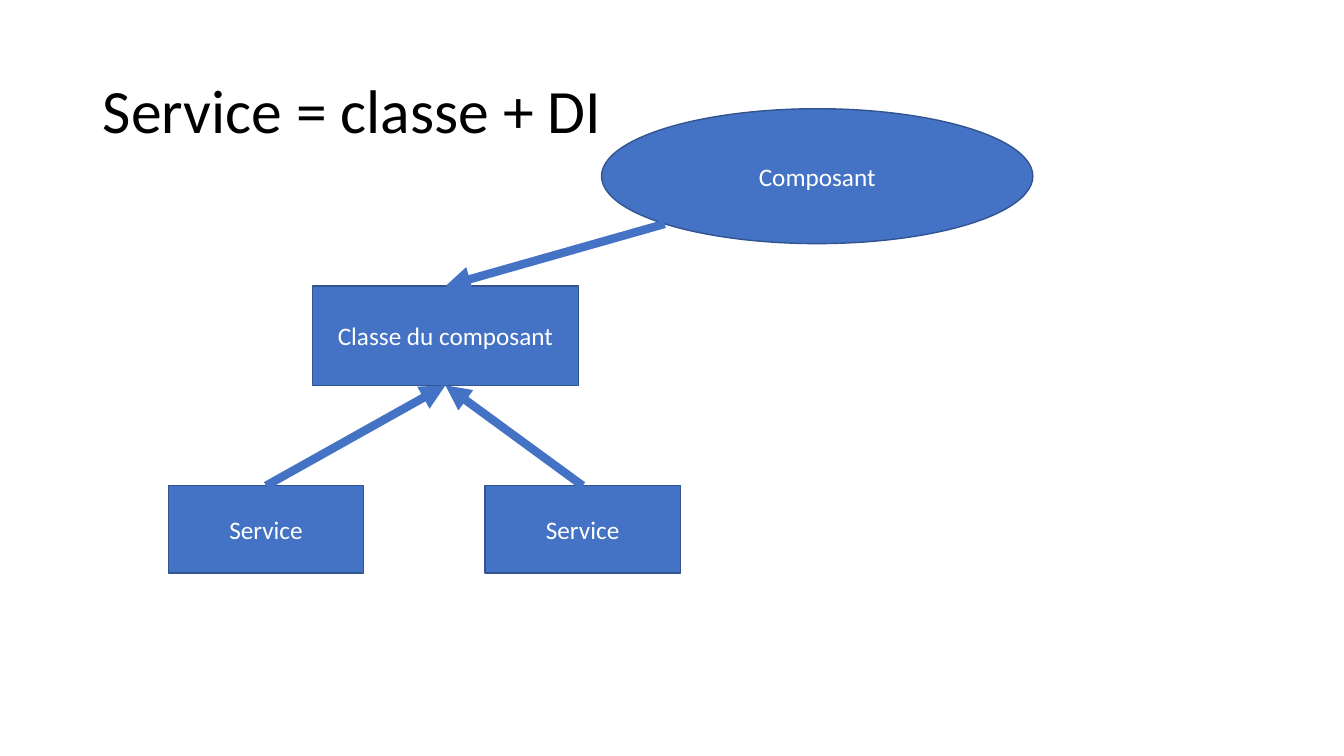
from math import sqrt
from pptx import Presentation
from pptx.dml.color import RGBColor
from pptx.enum.shapes import MSO_CONNECTOR as Link, MSO_SHAPE as Kind
from pptx.enum.text import MSO_ANCHOR as Anchor, PP_ALIGN as Align
from pptx.oxml.ns import qn
from pptx.util import Cm, Pt
from lxml.etree import SubElement as Sub

# Content: key -> text, shape, left, top, width, height in cm
TITLE = "Service = classe + DI"
NODES = {
    "class": ("Classe du composant", Kind.RECTANGLE, 7.87, 7.21, 6.71, 2.5),
    "comp": ("Composant", Kind.OVAL, 15.16, 2.74, 10.87, 3.4),
    "left": ("Service", Kind.RECTANGLE, 4.24, 12.24, 4.93, 2.2),
    "right": ("Service", Kind.RECTANGLE, 12.22, 12.24, 4.93, 2.2),
}
# Connection sites: top and bottom of a box, lower left of an oval
TOP, BOTTOM, LOWER = 0, 2, 3
ARROWS = [
    ("left", TOP, "class", BOTTOM),
    ("comp", LOWER, "class", TOP),
    ("right", TOP, "class", BOTTOM),
]
BLUE, EDGE, WHITE, BLACK = "4472C4", "325491", "FFFFFF", "000000"
FONT = "Calibri"


def paint(color, value):
    color.rgb = RGBColor.from_string(value)


def write(frame, text, size, color, align):
    frame.word_wrap = True
    frame.vertical_anchor = Anchor.MIDDLE
    para = frame.paragraphs[0]
    para.alignment = align
    run = para.add_run()
    run.text = text
    run.font.name, run.font.size = FONT, Pt(size)
    paint(run.font.color, color)
    return para


def site(node, spot):
    x, y = node.left + node.width // 2, node.top
    if spot == BOTTOM:
        y += node.height
    elif spot == LOWER:
        x -= int(node.width / sqrt(8))
        y += int(node.height * (0.5 + 1 / sqrt(8)))
    return x, y


deck = Presentation()
deck.slide_width, deck.slide_height = Cm(33.87), Cm(19.05)
slide = deck.slides.add_slide(deck.slide_layouts[5])

# Title
title = slide.shapes.title
title.left, title.top = Cm(2.34), Cm(1.02)
title.width, title.height = Cm(29.21), Cm(3.68)
write(title.text_frame, TITLE, 44, BLACK, Align.LEFT).line_spacing = 0.9

# Boxes and oval
made = {}
for key, (text, kind, *area) in NODES.items():
    node = made[key] = slide.shapes.add_shape(kind, *map(Cm, area))
    node.shadow.inherit = False
    node.fill.solid()
    paint(node.fill.fore_color, BLUE)
    paint(node.line.color, EDGE)
    node.line.width = Pt(1)
    write(node.text_frame, text, 18, WHITE, Align.CENTER)

# Arrows, glued to their nodes
for tail, start, head, end in ARROWS:
    begin = site(made[tail], start)
    arrow = slide.shapes.add_connector(
        Link.STRAIGHT, *begin, *site(made[head], end))
    arrow.begin_connect(made[tail], start)
    arrow.end_connect(made[head], end)
    arrow.begin_x, arrow.begin_y = begin
    paint(arrow.line.color, BLUE)
    arrow.line.width = Pt(6)
    props = arrow.line._get_or_add_ln()
    Sub(props, qn("a:tailEnd"), type="triangle")
    Sub(props.getparent(), qn("a:effectLst"))

deck.save("out.pptx")
